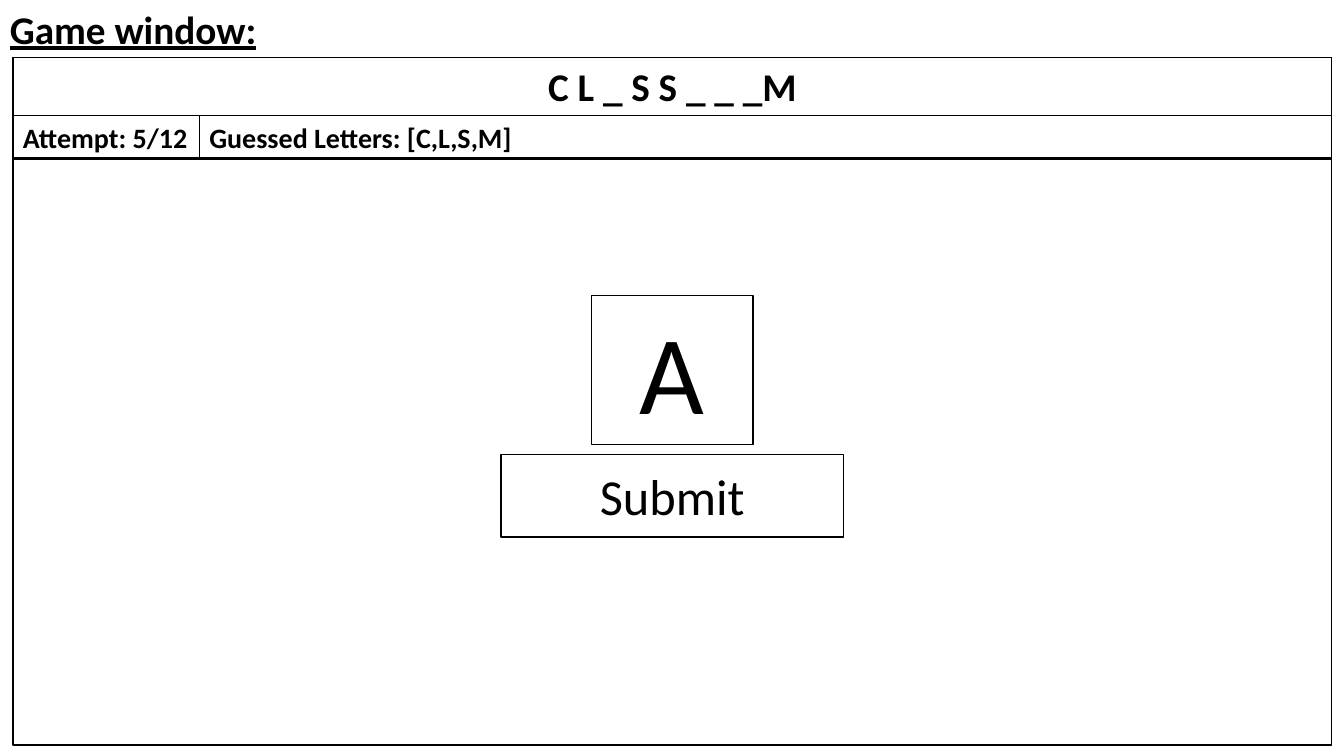
from dataclasses import dataclass

from pptx import Presentation
from pptx.dml.color import RGBColor
from pptx.enum.shapes import MSO_SHAPE
from pptx.enum.text import MSO_ANCHOR, MSO_AUTO_SIZE, PP_ALIGN
from pptx.util import Pt

RECTANGLE = MSO_SHAPE.RECTANGLE
LEFT, CENTER = PP_ALIGN.LEFT, PP_ALIGN.CENTER
TOP, MIDDLE = MSO_ANCHOR.TOP, MSO_ANCHOR.MIDDLE
FIT_SHAPE = MSO_AUTO_SIZE.SHAPE_TO_FIT_TEXT


@dataclass(frozen=True)
class Theme:
    font: str = "Calibri"
    ink: RGBColor = RGBColor(0, 0, 0)
    paper: RGBColor = RGBColor(255, 255, 255)
    heading: float = 28
    status: float = 20
    button: float = 36
    letter: float = 80
    thin: float = 0.75
    border: float = 1


class Wireframe:
    def __init__(self, slide, theme):
        self.slide, self.theme = slide, theme

    def group(self):
        return self.slide.shapes.add_group_shape().shapes

    def label(self, shape, text, size, bold=False, underline=None,
              align=LEFT, anchor=TOP, wrap=True):
        frame = shape.text_frame
        frame.word_wrap = wrap
        frame.vertical_anchor = anchor
        if anchor == TOP:
            frame.auto_size = FIT_SHAPE
        paragraph = frame.paragraphs[0]
        paragraph.text = text
        paragraph.alignment = align
        font = paragraph.font
        font.name, font.size = self.theme.font, Pt(size)
        font.bold, font.underline = bold, underline
        font.color.rgb = self.theme.ink

    def heading(self, text, left, top, width, height):
        box = self.slide.shapes.add_textbox(Pt(left), Pt(top), Pt(width), Pt(height))
        self.label(box, text, self.theme.heading, bold=True, underline=True, wrap=False)

    def panel(self, left, top, width, height, filled=True, line=None, parent=None):
        shapes = self.slide.shapes if parent is None else parent
        panel = shapes.add_shape(RECTANGLE, Pt(left), Pt(top), Pt(width), Pt(height))
        panel.shadow.inherit = False
        if filled:
            panel.fill.solid()
            panel.fill.fore_color.rgb = self.theme.paper
        else:
            panel.fill.background()
        panel.line.color.rgb = self.theme.ink
        panel.line.width = Pt(line or self.theme.border)
        return panel

    def cell(self, parent, text, size, left, top, width, height, align=LEFT, wrap=True):
        cell = self.panel(left, top, width, height, False, self.theme.thin, parent)
        self.label(cell, text, size, bold=True, align=align, wrap=wrap)

    def control(self, text, size, center, top, width, height):
        control = self.panel(center - width / 2, top, width, height)
        self.label(control, text, size, align=CENTER, anchor=MIDDLE)


def main():
    deck = Presentation()
    deck.slide_width, deck.slide_height = Pt(960), Pt(540)
    theme = Theme()
    game = Wireframe(deck.slides.add_slide(deck.slide_layouts[6]), theme)

    left, top, width = 9.2, 41.2, 942
    center = left + width / 2
    word_height, status_height, attempt_width = 41.2, 31.5, 133.2

    # Window frame and its heading
    game.panel(left, top, width, 491, filled=False)
    game.heading("Game window:", 0, 0, 198.7, top)

    # Letter entry
    game.control("A", theme.letter, center, 211, 115.2, 106.6)

    # Header: hidden word above the status row
    header = game.group()
    status_top = top + word_height
    game.panel(left, top, width, word_height + status_height - 1, parent=header)
    game.cell(header, "Attempt: 5/12", theme.status,
              left, status_top, attempt_width, status_height, wrap=False)
    game.cell(header, "C L _ S S _ _ _M", theme.heading,
              left, top, width, word_height, align=CENTER)
    game.cell(header, "Guessed Letters: [C,L,S,M]", theme.status,
              left + attempt_width, status_top, width - attempt_width, status_height)

    # Submit button
    game.control("Submit", theme.button, center, 324.6, 244.8, 59)

    deck.save("out.pptx")


if __name__ == "__main__":
    main()
